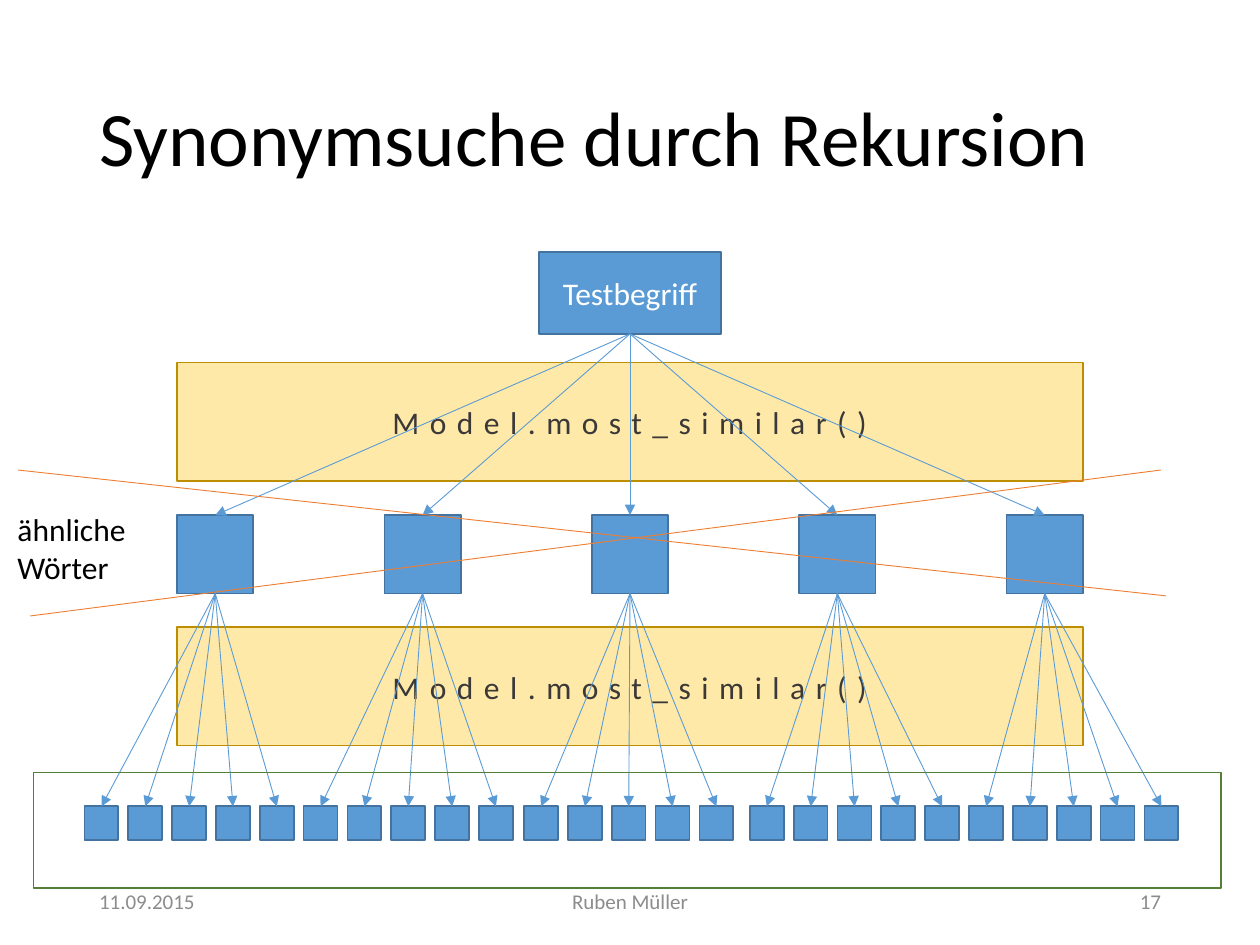
from lxml.etree import SubElement
from pptx import Presentation
from pptx.dml.color import RGBColor
from pptx.enum.shapes import MSO_CONNECTOR as CONN, MSO_SHAPE as SHAPE
from pptx.enum.text import MSO_ANCHOR as ANCHOR, PP_ALIGN as ALIGN
from pptx.oxml.ns import qn
from pptx.util import Pt

COLORS = {
    "black": "000000", "white": "FFFFFF", "grey": "8C8C8C", "dark": "3B3838",
    "blue": "5B9BD5", "blue_edge": "43739E", "gold": "FFC000",
    "gold_edge": "BD8E00", "orange": "ED7D31", "green": "538035",
}
FONT = "Calibri"


def rgb(name):
    return RGBColor.from_string(COLORS[name])


def write(shape, text, size, color, align=ALIGN.LEFT, anchor=ANCHOR.MIDDLE):
    tf = shape.text_frame
    tf.text = text
    tf.vertical_anchor = anchor
    for p in tf.paragraphs:
        p.alignment = align
        for r in p.runs:
            r.font.name, r.font.size = FONT, Pt(size)
            r.font.color.rgb = rgb(color)
    return tf


def add_rect(s, box, fill, edge):
    sp = s.shapes.add_shape(SHAPE.RECTANGLE, *map(Pt, box))
    sp.shadow.inherit = False
    if fill:
        sp.fill.solid()
        sp.fill.fore_color.rgb = rgb(fill)
    else:
        sp.fill.background()
    sp.line.color.rgb = rgb(edge)
    sp.line.width = Pt(1)
    return sp


def add_line(s, start, end, color, arrow=False):
    line = s.shapes.add_connector(CONN.STRAIGHT, *map(Pt, start + end))
    line.line.color.rgb = rgb(color)
    line.line.width = Pt(0.5)
    if arrow:
        SubElement(line.line._get_or_add_ln(), qn("a:tailEnd"), type="triangle")
    SubElement(line._element.spPr, qn("a:effectLst"))


def add_text(s, box, text, size, color, align=ALIGN.LEFT,
             anchor=ANCHOR.MIDDLE, wrap=True):
    sp = s.shapes.add_textbox(*map(Pt, box))
    write(sp, text, size, color, align, anchor).word_wrap = wrap


def add_title(s, box, text):
    title = s.shapes.title
    title.left, title.top, title.width, title.height = map(Pt, box)
    tf = write(title, text, 44, "black")
    tf.paragraphs[0].line_spacing = 0.9


def add_model_bar(s, box):
    """Translucent bar with the widely spaced function name."""
    bar = add_rect(s, box, "gold", "gold_edge")
    color = bar.fill._xPr.find(qn("a:solidFill"))[0]
    SubElement(color, qn("a:alpha"), val="34000")
    tf = write(bar, "Model.most_similar()", 18, "dark", ALIGN.CENTER)
    tf.paragraphs[0].runs[0].font._element.set("spc", "600")


def add_row(s, box, count, width):
    """Evenly spread squares across the box; returns their boxes."""
    left, top, total, height = box
    pitch = (total - width) / (count - 1)
    boxes = [(left + i * pitch, top, width, height) for i in range(count)]
    for b in boxes:
        add_rect(s, b, "blue", "blue_edge")
    return boxes


def add_fan(s, parent, children):
    """Arrows from the parent's bottom centre to each child's top centre."""
    x, y, w, h = parent
    for cx, cy, cw, _ in children:
        add_line(s, (x + w / 2, y + h), (cx + cw / 2, cy), "blue", arrow=True)


def add_tree(s, box):
    left, top, width, _ = box

    # Boxes of the three levels
    root = (left + width / 2 - 52.2, top, 104.4, 46.8)
    write(add_rect(s, root, "blue", "blue_edge"), "Testbegriff", 18, "white",
          ALIGN.CENTER)
    words = add_row(s, (left, top + 150.4, width, 44.8), 5, 43.6)
    groups = [add_row(s, (x, top + 316.8, 119.6, 19.4), 5, 19.4)
              for x in (48.3, 173.5, 299.5, 428.5, 553.8)]

    # Search steps between the levels
    for y in (63.2, 214.4):
        add_model_bar(s, (left, top + y, width, 67.6))

    # Arrows
    add_fan(s, root, words)
    for word, group in zip(words, groups):
        add_fan(s, word, group)


def add_cross(s, box):
    """Two long strokes crossing out the middle level."""
    left, top, width, height = box
    add_line(s, (left, top), (left + width, top + height - 11.5), "orange")
    add_line(s, (left + width - 3, top), (left + 7, top + height), "orange")


def add_footer(s, box):
    left, top, width, height = box
    for text, x, w, align in (
        ("11.09.2015", left, 162, ALIGN.LEFT),
        ("Ruben Müller", left + (width - 243) / 2, 243, ALIGN.CENTER),
        ("17", left + width - 162, 162, ALIGN.RIGHT),
    ):
        add_text(s, (x, top, w, height), text, 12, "grey", align)


def main():
    prs = Presentation()
    prs.slide_width, prs.slide_height = Pt(720), Pt(540)
    s = prs.slides.add_slide(prs.slide_layouts[5])

    add_title(s, (49.5, 28.75, 621, 104.4), "Synonymsuche durch Rekursion")
    add_tree(s, (101.2, 144, 517.6, 336.2))
    add_text(s, (2.9, 288, 77, 51), "ähnliche\nWörter", 18, "black",
             anchor=ANCHOR.TOP, wrap=False)
    add_cross(s, (10.3, 268.6, 656, 83.4))

    # Frame around the lowest level
    add_rect(s, (19.2, 441.4, 678.6, 66.1), None, "green")
    add_footer(s, (49.5, 500.5, 621, 28.75))
    prs.save("out.pptx")


if __name__ == "__main__":
    main()
